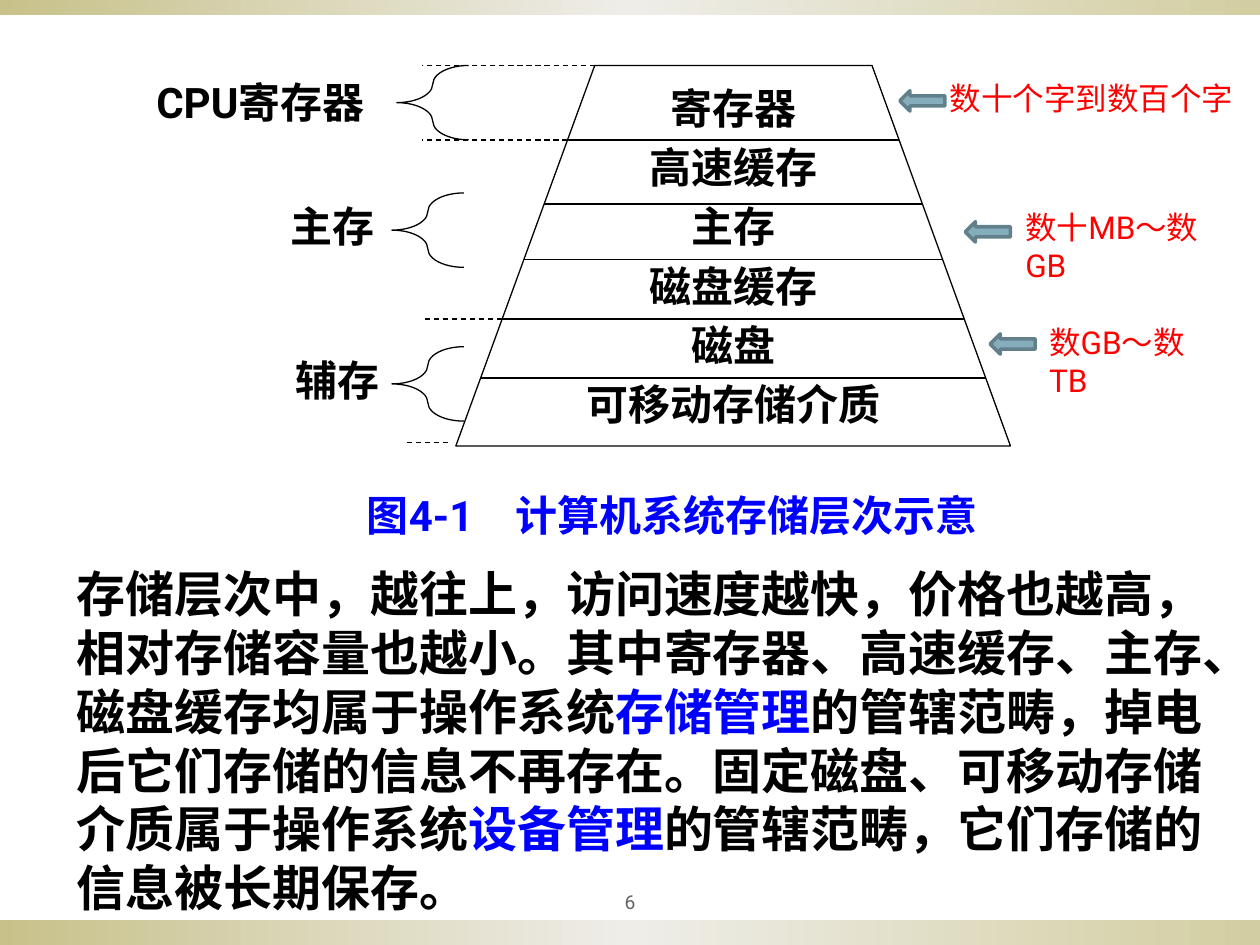
from copy import deepcopy
from dataclasses import dataclass

from pptx import Presentation
from pptx.dml.color import RGBColor
from pptx.enum.dml import MSO_LINE
from pptx.enum.shapes import MSO_CONNECTOR, MSO_SHAPE
from pptx.enum.text import MSO_ANCHOR, MSO_AUTO_SIZE, PP_ALIGN
from pptx.oxml.ns import qn
from pptx.util import Cm, Pt
from lxml import etree


@dataclass(frozen=True)
class Theme:
    ink: str = "000000"
    paper: str = "FFFFFF"
    accent: str = "0000FF"
    note: str = "FF0000"
    muted: str = "636363"
    arrow_fill: str = "85ADBC"
    arrow_line: str = "62808B"
    band: tuple = ("C8C18A", "EEEDE8", "D3CEA1")
    body_font: str = "Lato"
    label_font: str = "Roboto"
    body_size: float = 28
    label_size: float = 24
    note_size: float = 18
    number_size: float = 11
    hairline: float = 0.75
    arrow_width: float = 2


THEME = Theme()

CAPTION = "图4-1　计算机系统存储层次示意"
EXPLANATION = [
    ("存储层次中，越往上，访问速度越快，价格也越高，相对存储容量也越小。"
     "其中寄存器、高速缓存、主存、磁盘缓存均属于操作系统", THEME.ink),
    ("存储管理", THEME.accent),
    ("的管辖范畴，掉电后它们存储的信息不再存在。"
     "固定磁盘、可移动存储介质属于操作系统", THEME.ink),
    ("设备管理", THEME.accent),
    ("的管辖范畴，它们存储的信息被长期保存。", THEME.ink),
]
LAYERS = ["寄存器", "高速缓存", "主存", "磁盘缓存", "磁盘", "可移动存储介质"]
LAYER_BORDERS = [2.82, 4.11, 5.23, 6.43, 7.62]
GROUP_BORDERS = [1.32, 2.82, 6.43]
GROUPS = [
    ("CPU寄存器", (2.9, 1.52, 4.7, 1.09), (8, 1.32), 0.42),
    ("主存", (5.21, 4.01, 3, 1.09), (7.9, 3.89), 1),
    ("辅存", (5.21, 7.11, 3.2, 1.09), (7.9, 6.99), 0.67),
]
CAPACITIES = [
    ("数十个字到数百个字", (18.9, 1.47, 6.27, 1.02), (18.14, 1.83)),
    ("数十MB～数GB", (20.42, 4.06, 4.37, 1.02), (19.46, 4.47)),
    ("数GB～数TB", (20.9, 6.38, 3.71, 1.02), (19.96, 6.73)),
]
BANDS = [(0, 18.54, 25.4, 0.51), (0, 0, 25.4, 0.3)]
PAGE_NUMBER = "6"

TOP, BOTTOM = 1.32, 8.99
TOP_LEFT, TOP_RIGHT = 11.99, 17.58
BASE_LEFT, BASE_RIGHT = 9.19, 20.37
GROUP_LINE_LEFT = 8.51
BRACE_SIZE = (1.45, 1.5)
ARROW_SIZE = (0.91, 0.41)


def color(code):
    return RGBColor.from_string(code)


def cm(*lengths):
    return [Cm(length) for length in lengths]


def edges(y):
    share = (y - TOP) / (BOTTOM - TOP)
    return (TOP_LEFT + share * (BASE_LEFT - TOP_LEFT),
            TOP_RIGHT + share * (BASE_RIGHT - TOP_RIGHT))


def place(shape, box):
    shape.left, shape.top, shape.width, shape.height = cm(*box)


def style(paragraph, font, size, code, bold=False, align=PP_ALIGN.CENTER):
    paragraph.alignment = align
    paragraph.font.name = font
    paragraph.font.size = Pt(size)
    paragraph.font.bold = bold
    paragraph.font.color.rgb = color(code)


def set_frame(frame, insets, anchor=MSO_ANCHOR.TOP, wrap=True):
    frame.auto_size = MSO_AUTO_SIZE.NONE
    frame.word_wrap = wrap
    frame.vertical_anchor = anchor
    frame.margin_left = frame.margin_right = Cm(insets[0])
    frame.margin_top = frame.margin_bottom = Cm(insets[1])


def add_label(slide, text, box, insets, anchor=MSO_ANCHOR.TOP, **look):
    frame = slide.shapes.add_textbox(*cm(*box)).text_frame
    set_frame(frame, insets, anchor)
    frame.text = text
    style(frame.paragraphs[0], THEME.label_font, **look)


def outline(shape, code=THEME.ink, width=THEME.hairline):
    shape.shadow.inherit = False
    shape.line.color.rgb = color(code)
    shape.line.width = Pt(width)


def add_line(slide, x1, x2, y, dashed=False):
    line = slide.shapes.add_connector(MSO_CONNECTOR.STRAIGHT, *cm(x1, y, x2, y))
    line.line.color.rgb = color(THEME.ink)
    line.line.width = Pt(THEME.hairline)
    if dashed:
        line.line.dash_style = MSO_LINE.DASH
    etree.SubElement(line._element.spPr, qn("a:effectLst"))


def add_band(slide, box):
    band = slide.shapes.add_shape(MSO_SHAPE.RECTANGLE, *cm(*box))
    band.shadow.inherit = False
    band.line.fill.background()
    band.fill.gradient()
    band.fill.gradient_angle = 0
    stops = band._element.spPr.find(".//" + qn("a:gsLst"))
    stops.insert(1, deepcopy(stops[0]))
    for stop, code, position in zip(band.fill.gradient_stops, THEME.band, (0, 0.5, 1)):
        stop.color.rgb = color(code)
        stop.position = position


def add_pyramid(slide):
    builder = slide.shapes.build_freeform(Cm(TOP_LEFT), Cm(TOP))
    corners = [(TOP_RIGHT, TOP), (BASE_RIGHT, BOTTOM), (BASE_LEFT, BOTTOM)]
    builder.add_line_segments([cm(*corner) for corner in corners], close=True)
    pyramid = builder.convert_to_shape()
    outline(pyramid)
    pyramid.fill.solid()
    pyramid.fill.fore_color.rgb = color(THEME.paper)
    frame = pyramid.text_frame
    set_frame(frame, (0.25, 0), MSO_ANCHOR.MIDDLE, wrap=False)
    frame.text = "\n".join(LAYERS)
    for index, layer in enumerate(frame.paragraphs):
        style(layer, THEME.body_font, THEME.label_size, THEME.ink, bold=True)
        layer.space_before = Pt(5 if index else 0)
    for y in LAYER_BORDERS:
        add_line(slide, *edges(y), y)


def add_groups(slide):
    for y in GROUP_BORDERS:
        add_line(slide, edges(y)[0], GROUP_LINE_LEFT, y, dashed=True)
    add_line(slide, 8.2, 9.09, 8.92, dashed=True)
    for name, box, corner, curl in GROUPS:
        brace = slide.shapes.add_shape(MSO_SHAPE.LEFT_BRACE, *cm(*corner, *BRACE_SIZE))
        brace.adjustments[0] = curl
        brace.fill.background()
        outline(brace)
        add_label(slide, name, box, (0, 0.03), size=THEME.label_size,
                  code=THEME.ink, bold=True)


def add_capacities(slide):
    for capacity, box, corner in CAPACITIES:
        add_label(slide, capacity, box, (0.25, 0.13), size=THEME.note_size,
                  code=THEME.note, align=PP_ALIGN.LEFT)
        arrow = slide.shapes.add_shape(MSO_SHAPE.LEFT_ARROW, *cm(*corner, *ARROW_SIZE))
        arrow.fill.solid()
        arrow.fill.fore_color.rgb = color(THEME.arrow_fill)
        outline(arrow, THEME.arrow_line, THEME.arrow_width)


def fill_placeholders(slide):
    caption, explanation = slide.placeholders
    place(caption, (6.3, 9.73, 14.5, 1.3))
    set_frame(caption.text_frame, (0.25, 0.13), MSO_ANCHOR.MIDDLE)
    caption.text_frame.text = CAPTION
    style(caption.text_frame.paragraphs[0], THEME.label_font, THEME.label_size,
          THEME.accent, bold=True)

    place(explanation, (1.3, 11.23, 23.39, 7.44))
    set_frame(explanation.text_frame, (0.25, 0.13))
    paragraph = explanation.text_frame.paragraphs[0]
    properties = paragraph._p.get_or_add_pPr()
    properties.set("marL", "0")
    properties.set("indent", "0")
    etree.SubElement(properties, qn("a:buNone"))
    style(paragraph, THEME.body_font, THEME.body_size, THEME.ink, bold=True,
          align=PP_ALIGN.LEFT)
    paragraph.space_before = Pt(0)
    for text, code in EXPLANATION:
        run = paragraph.add_run()
        run.text = text
        run.font.color.rgb = color(code)


def main():
    deck = Presentation()
    deck.slide_width, deck.slide_height = cm(25.4, 19.05)
    slide = deck.slides.add_slide(deck.slide_layouts[1])
    for box in BANDS:
        add_band(slide, box)
    add_label(slide, PAGE_NUMBER, (11.43, 17.78, 2.54, 0.79), (0.13, 0.13),
              MSO_ANCHOR.MIDDLE, size=THEME.number_size, code=THEME.muted)
    add_pyramid(slide)
    add_groups(slide)
    add_capacities(slide)
    fill_placeholders(slide)
    deck.save("out.pptx")


if __name__ == "__main__":
    main()
